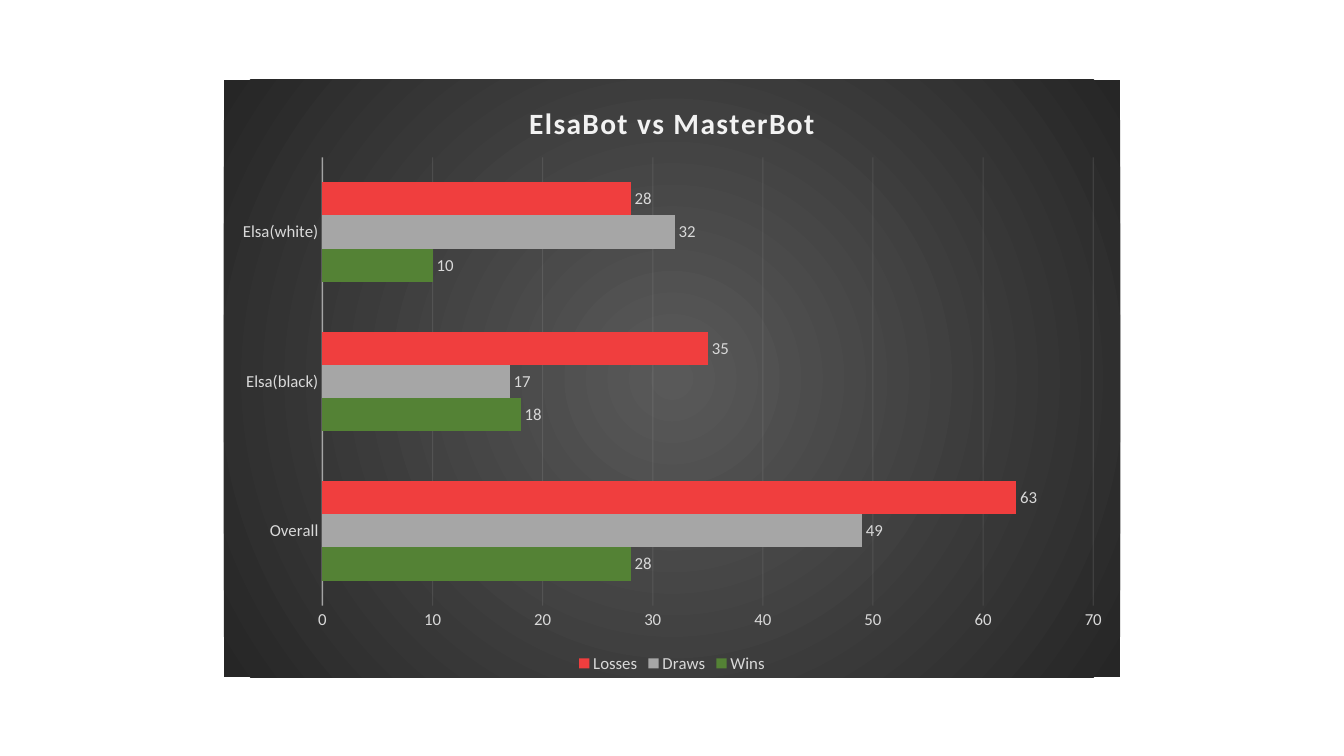
import dataclasses

import lxml.etree
import pptx
import pptx.chart.data
import pptx.dml.color
import pptx.enum.chart
import pptx.oxml
import pptx.oxml.ns
import pptx.util
from pptx.util import Inches

qn = pptx.oxml.ns.qn


@dataclasses.dataclass(frozen=True)
class Theme:
    font: str = "Calibri"
    title_size: int = 21
    label_size: int = 12
    title: str = "F2F2F2"
    label: str = "D9D9D9"
    line: str = "F2F2F2"
    center: str = "595959"
    edge: str = "262626"


THEME = Theme()
CATEGORIES = ["Overall", "Elsa(black)", "Elsa(white)"]
RESULTS = [
    ("Wins", [28, 18, 10], "548235"),
    ("Draws", [49, 17, 32], "A6A6A6"),
    ("Losses", [63, 35, 28], "F03E3E"),
]


def rgb(color):
    return pptx.dml.color.RGBColor.from_string(color)


def style_font(font, size, color, bold=False):
    font.name = THEME.font
    font.size = pptx.util.Pt(size)
    font.bold = bold
    font.color.rgb = rgb(color)


def style_line(line, width, opacity):
    line.width = pptx.util.Pt(width)
    line.color.rgb = rgb(THEME.line)
    color = line.fill._xPr.find(".//" + qn("a:srgbClr"))
    alpha = lxml.etree.SubElement(color, qn("a:alpha"))
    alpha.set("val", str(opacity * 1000))


def add_title(chart, text):
    chart.has_title = True
    chart.chart_title.include_in_layout = False
    para = chart.chart_title.text_frame.paragraphs[0]
    span = para.add_run()
    span.text = text
    style_font(span.font, THEME.title_size, THEME.title, bold=True)
    span._r.get_or_add_rPr().set("spc", "100")


def add_background(chart):
    namespaces = pptx.oxml.ns.nsdecls("c", "a")
    shape_properties = pptx.oxml.parse_xml(
        f'<c:spPr {namespaces}><a:gradFill rotWithShape="1"><a:gsLst>'
        f'<a:gs pos="0"><a:srgbClr val="{THEME.center}"/></a:gs>'
        f'<a:gs pos="100000"><a:srgbClr val="{THEME.edge}"/></a:gs>'
        '</a:gsLst><a:path path="circle">'
        '<a:fillToRect l="50000" t="50000" r="50000" b="50000"/>'
        "</a:path></a:gradFill><a:ln><a:noFill/></a:ln></c:spPr>"
    )
    chart._chartSpace.find(qn("c:chart")).addnext(shape_properties)


def place_plot(chart, left, top, width, height):
    area = chart._chartSpace.find(".//" + qn("c:plotArea"))
    for layout in area.findall(qn("c:layout")):
        area.remove(layout)
    layout = lxml.etree.Element(qn("c:layout"))
    manual = lxml.etree.SubElement(layout, qn("c:manualLayout"))
    settings = [("layoutTarget", "inner"), ("xMode", "edge"), ("yMode", "edge"),
                ("x", left), ("y", top), ("w", width), ("h", height)]
    for name, value in settings:
        lxml.etree.SubElement(manual, qn("c:" + name)).set("val", str(value))
    area.insert(0, layout)


def style_axes(chart):
    for axis in (chart.category_axis, chart.value_axis):
        axis.major_tick_mark = pptx.enum.chart.XL_TICK_MARK.NONE
        axis.minor_tick_mark = pptx.enum.chart.XL_TICK_MARK.NONE
        style_font(axis.tick_labels.font, THEME.label_size, THEME.label)
    style_line(chart.category_axis.format.line, 1, 54)
    values = chart.value_axis
    values.minimum_scale, values.maximum_scale, values.major_unit = 0, 70, 10
    values.format.line.fill.background()
    values.has_major_gridlines = True
    style_line(values.major_gridlines.format.line, 0.75, 10)


def style_series(series, color):
    series.format.fill.solid()
    series.format.fill.fore_color.rgb = rgb(color)
    series.invert_if_negative = False
    labels = series.data_labels
    labels.show_value = True
    labels.position = pptx.enum.chart.XL_LABEL_POSITION.OUTSIDE_END
    style_font(labels.font, THEME.label_size, THEME.label)


def add_legend(chart):
    chart.has_legend = True
    chart.legend.position = pptx.enum.chart.XL_LEGEND_POSITION.BOTTOM
    chart.legend.include_in_layout = False
    style_font(chart.legend.font, THEME.label_size, THEME.label)


def add_results_chart(page):
    data = pptx.chart.data.CategoryChartData()
    data.categories = CATEGORIES
    for name, values, _ in RESULTS:
        data.add_series(name, values)
    chart = page.shapes.add_chart(
        pptx.enum.chart.XL_CHART_TYPE.BAR_CLUSTERED,
        Inches(2.22), Inches(0.79), Inches(8.89), Inches(5.93), data,
    ).chart
    chart.font.name = THEME.font
    chart.font.size = pptx.util.Pt(10)
    plot = chart.plots[0]
    plot.gap_width = 150
    plot.overlap = 0
    plot.vary_by_categories = False
    for series, (_, _, color) in zip(plot.series, RESULTS):
        style_series(series, color)
    add_title(chart, "ElsaBot vs MasterBot")
    add_legend(chart)
    style_axes(chart)
    place_plot(chart, 0.11, 0.13, 0.86, 0.75)
    add_background(chart)


def main():
    deck = pptx.Presentation()
    deck.slide_width = Inches(13.33)
    deck.slide_height = Inches(7.5)
    page = deck.slides.add_slide(deck.slide_layouts.get_by_name("Blank"))
    add_results_chart(page)
    deck.save("out.pptx")


if __name__ == "__main__":
    main()
